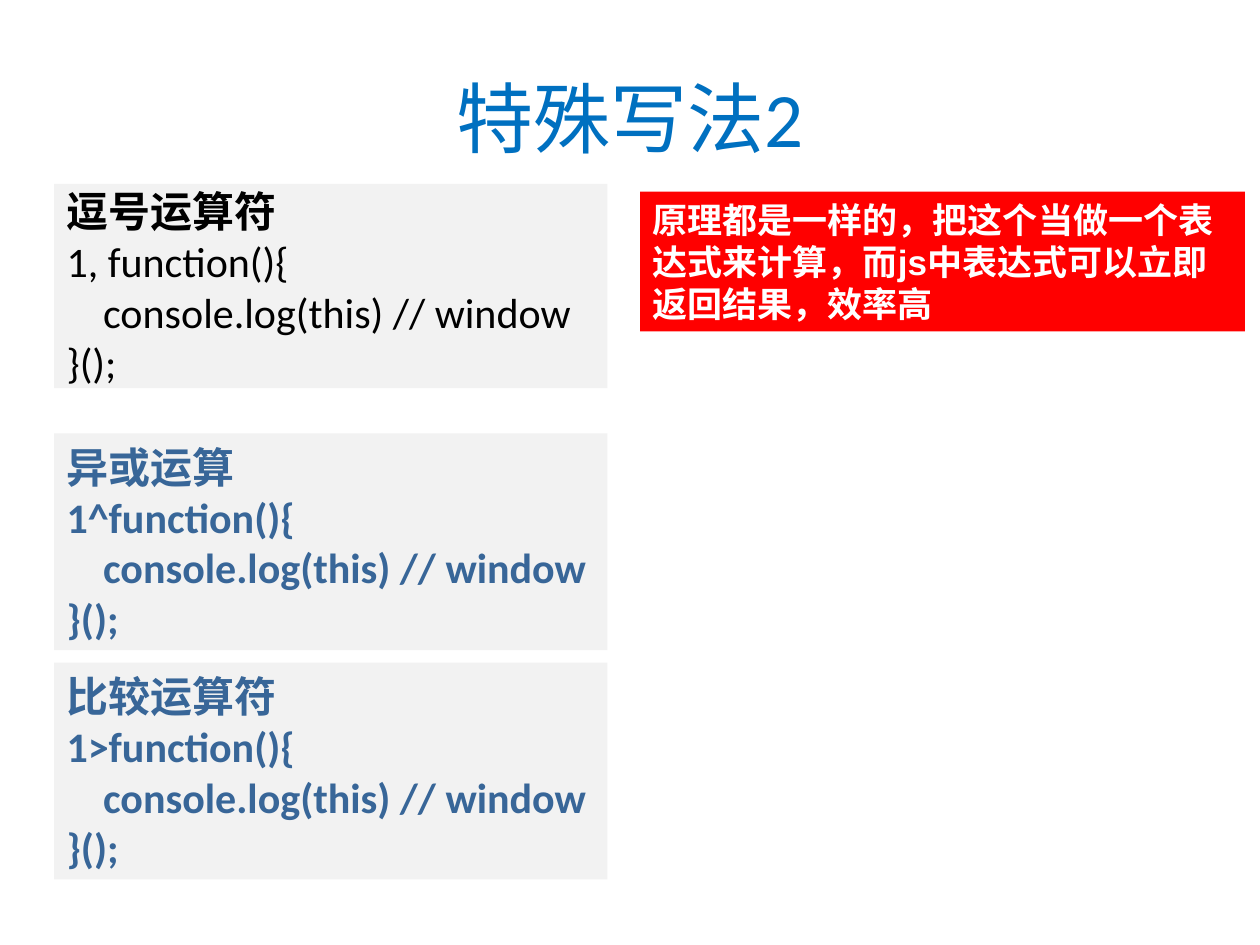
from pptx import Presentation
from pptx.dml.color import RGBColor
from pptx.enum.shapes import MSO_SHAPE
from pptx.enum.text import MSO_ANCHOR, PP_ALIGN
from pptx.util import Inches, Pt

TITLE_BLUE = RGBColor(0x00, 0x70, 0xC0)
CODE_BLUE = RGBColor(0x38, 0x66, 0x98)
BLACK = RGBColor(0x00, 0x00, 0x00)
WHITE = RGBColor(0xFF, 0xFF, 0xFF)
PALE_GREY = RGBColor(0xF2, 0xF2, 0xF2)
RED = RGBColor(0xFF, 0x00, 0x00)

TITLE = "特殊写法2"
NOTE = "原理都是一样的，把这个当做一个表达式来计算，而js中表达式可以立即返回结果，效率高"
CODE_BODY = "console.log(this) // window"
CODE_END = "}();"

# heading, opening code line, colour, bold code, top, height, vertical inset
EXAMPLES = [
    ("逗号运算符", "1, function(){", BLACK, False, 1.46, 1.62, 0),
    ("异或运算", "1^function(){", CODE_BLUE, True, 3.44, 1.72, 0.05),
    ("比较运算符", "1>function(){", CODE_BLUE, True, 5.26, 1.72, 0.05),
]
EXAMPLE_LEFT, EXAMPLE_WIDTH = 0.43, 4.39
CODE_INDENT = 0.29


def add_panel(slide, left, top, width, height, fill):
    panel = slide.shapes.add_shape(
        MSO_SHAPE.RECTANGLE, Inches(left), Inches(top), Inches(width), Inches(height))
    panel.shadow.inherit = False
    panel.fill.solid()
    panel.fill.fore_color.rgb = fill
    panel.line.fill.background()
    frame = panel.text_frame
    frame.word_wrap = True
    frame.vertical_anchor = MSO_ANCHOR.MIDDLE
    return frame


def write(paragraph, text, size, color, bold=False, font="Calibri", align=PP_ALIGN.LEFT):
    paragraph.alignment = align
    run = paragraph.add_run()
    run.text = text
    run.font.name = font
    run.font.size = Pt(size)
    run.font.bold = bold
    run.font.color.rgb = color


def add_example(slide, heading, opening, color, bold, top, height, inset):
    frame = add_panel(slide, EXAMPLE_LEFT, top, EXAMPLE_WIDTH, height, PALE_GREY)
    frame.margin_top = frame.margin_bottom = Inches(inset)
    frame.margin_right = 0
    write(frame.paragraphs[0], heading, 24, color, bold=True)
    for line in (opening, CODE_BODY, CODE_END):
        paragraph = frame.add_paragraph()
        write(paragraph, line, 24, color, bold)
        if line == CODE_BODY:
            properties = paragraph._p.get_or_add_pPr()
            properties.set("marL", str(Inches(CODE_INDENT)))
            properties.set("indent", "0")


prs = Presentation()
prs.slide_width, prs.slide_height = Inches(10), Inches(7.5)
slide = prs.slides.add_slide(prs.slide_layouts[6])

title = slide.shapes.add_textbox(Inches(0.5), Inches(0.3), Inches(9), Inches(1.25)).text_frame
title.word_wrap = True
title.vertical_anchor = MSO_ANCHOR.MIDDLE
write(title.paragraphs[0], TITLE, 44, TITLE_BLUE, align=PP_ALIGN.CENTER)

for example in EXAMPLES:
    add_example(slide, *example)

note = add_panel(slide, 5.08, 1.52, 4.8, 1.11, RED)
write(note.paragraphs[0], NOTE, 20, WHITE, bold=True, font="Arial")

prs.save("out.pptx")
